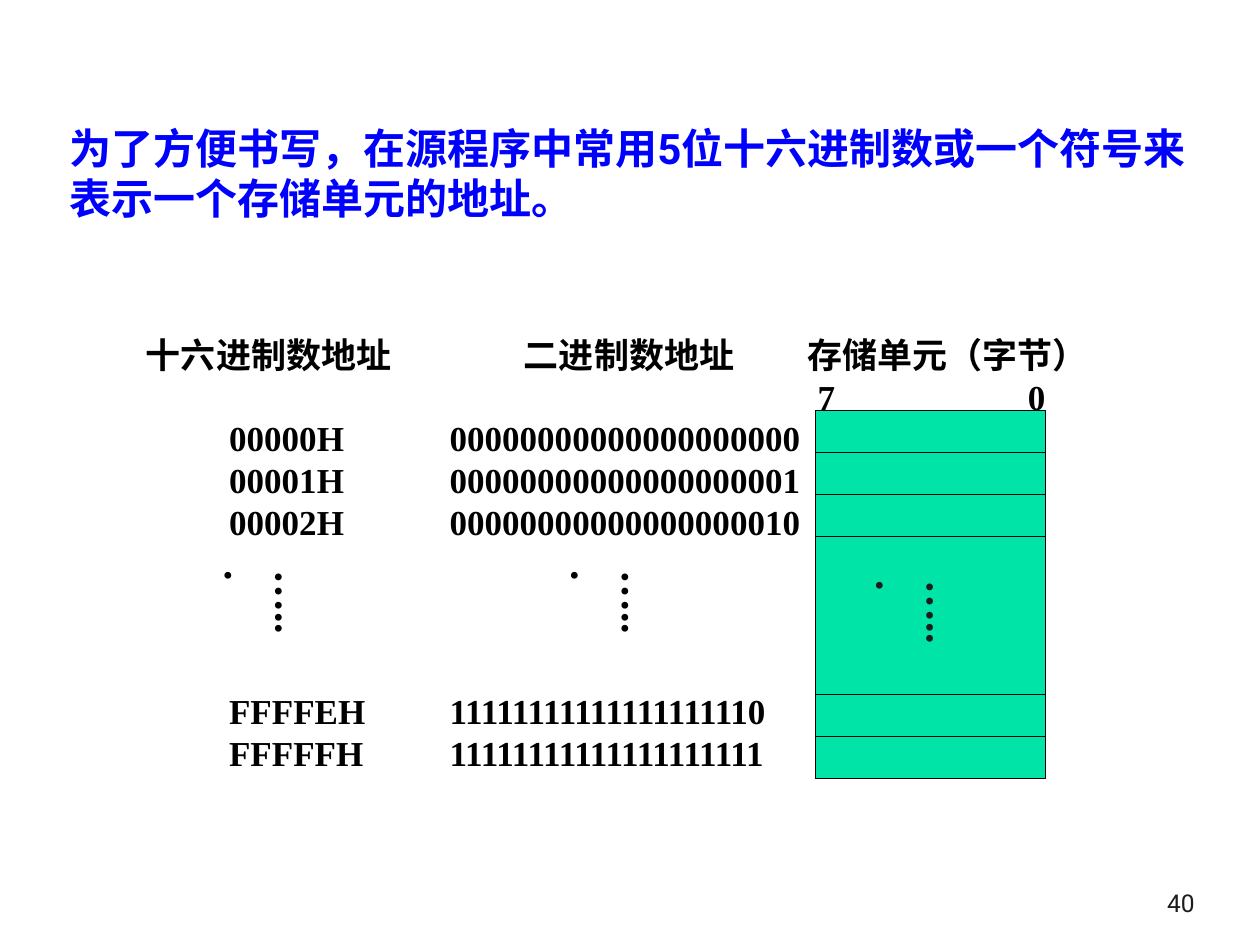
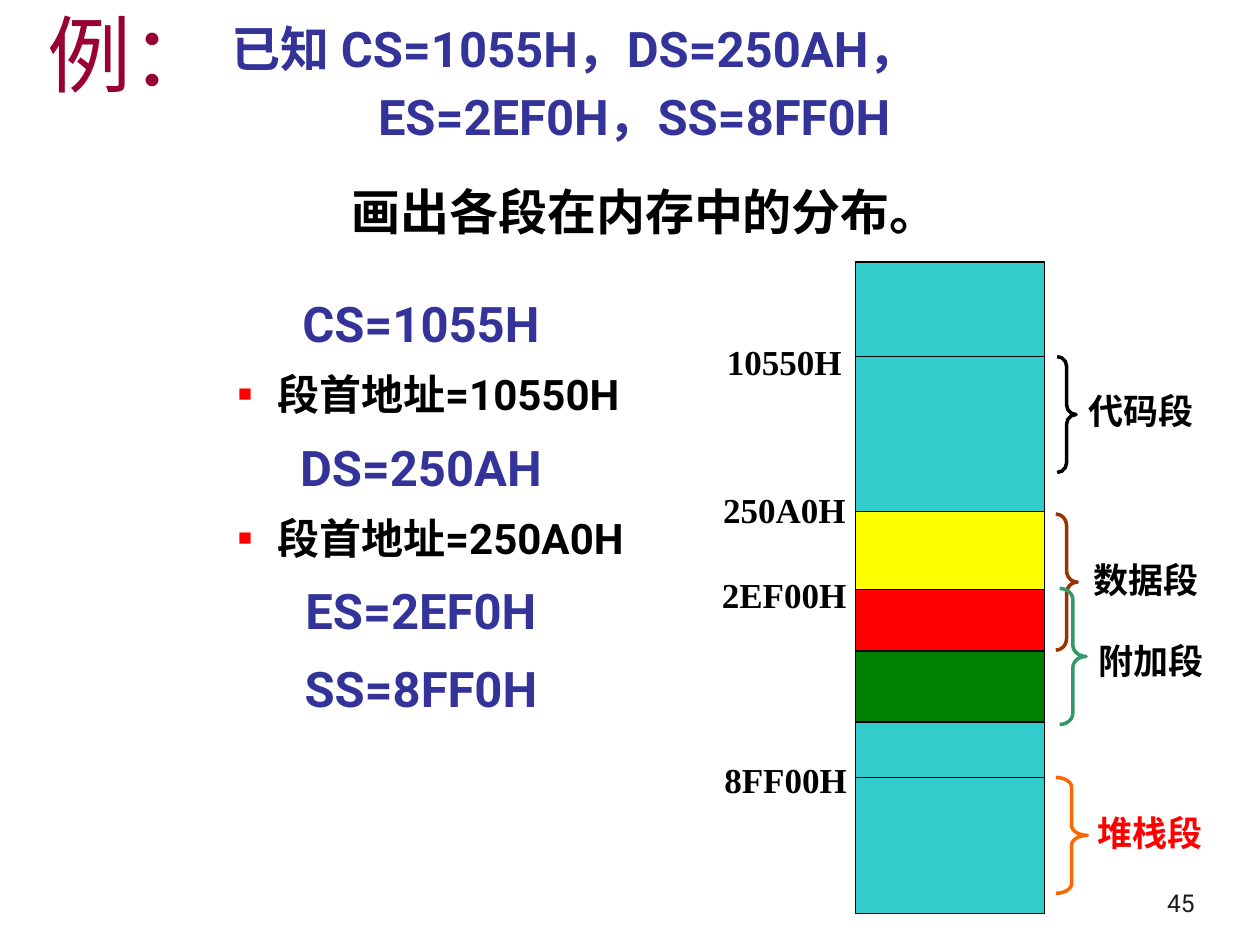
from lxml.etree import SubElement
from pptx import Presentation
from pptx.dml.color import RGBColor
from pptx.enum.shapes import MSO_CONNECTOR, MSO_SHAPE
from pptx.enum.text import MSO_ANCHOR as ANCHOR, MSO_AUTO_SIZE as AUTO_SIZE, PP_ALIGN as ALIGN
from pptx.oxml.ns import qn
from pptx.util import Inches, Pt

BLACK = RGBColor(0x00, 0x00, 0x00)
INK = RGBColor(0x1C, 0x1C, 0x1C)
BLUE = RGBColor(0x00, 0x00, 0xFF)
INDIGO = RGBColor(0x33, 0x33, 0x99)
CRIMSON = RGBColor(0x99, 0x00, 0x33)
MINT = RGBColor(0x00, 0xE4, 0xA8)
TEAL = RGBColor(0x33, 0xCC, 0xCC)
YELLOW = RGBColor(0xFF, 0xFF, 0x00)
RED = RGBColor(0xFF, 0x00, 0x00)
GREEN = RGBColor(0x00, 0x80, 0x00)
BROWN = RGBColor(0x99, 0x33, 0x00)
SEA = RGBColor(0x33, 0x99, 0x66)
ORANGE = RGBColor(0xFF, 0x66, 0x00)
SANS, SERIF = "Roboto", "Times New Roman"

STATEMENT = "为了方便书写，在源程序中常用5位十六进制数或一个符号来表示一个存储单元的地址。"
HEADINGS = [("十六进制数地址", 1.06, 2.25), ("二进制数地址", 4.06, 1.92), ("存储单元（字节）", 6.31, 2.78)]
BIT_NUMBERS = [("7", 6.39), ("0", 8.06)]
ADDRESSES = [
    (0, "00000H", "00000000000000000000"),
    (1, "00001H", "00000000000000000001"),
    (2, "00002H", "00000000000000000010"),
    (6.5, "FFFFEH", "11111111111111111110"),
    (7.5, "FFFFFH", "11111111111111111111"),
]
CELL_EDGES = [1, 2, 3, 6.75, 7.75]
ELLIPSES = [(1.97, 4.43, BLACK), (4.72, 4.43, BLACK), (7.14, 4.51, INK)]
CELLS_LEFT, CELLS_TOP, CELLS_WIDTH, ROW = 6.47, 3.26, 1.83, 1 / 3

EXAMPLE = "例："
GIVEN = "已知 CS=1055H，DS=250AH，\vES=2EF0H，SS=8FF0H"
TASK = "画出各段在内存中的分布。"
SOLUTION = [
    ("CS=1055H", False), ("段首地址=10550H", True),
    ("DS=250AH", False), ("段首地址=250A0H", True),
    ("ES=2EF0H", False), ("SS=8FF0H", False),
]
MEMORY_LEFT, MEMORY_WIDTH = 6.79, 1.5
MEMORY_EDGES = [2.83, 6.17]
BANDS = [(GREEN, 4.68, 1.05), (RED, 4.67, 0.5), (YELLOW, 4.06, 0.62)]
START_ADDRESSES = [("10550H", 5.67, 2.65), ("250A0H", 5.64, 3.83),
                   ("2EF00H", 5.63, 4.5), ("8FF00H", 5.65, 5.97)]
SEGMENTS = [
    ("代码段", BLACK, 8.54, 3.04, BLACK, (8.39, 2.83, 0.15, 0.92), 0.51),
    ("数据段", BLACK, 8.58, 4.38, BROWN, (8.38, 4.08, 0.17, 1.08), 0.54),
    ("附加段", BLACK, 8.62, 5.03, SEA, (8.41, 4.67, 0.21, 1.08), 0.42),
    ("堆栈段", RED, 8.61, 6.39, ORANGE, (8.38, 6.17, 0.25, 0.92), 0.31),
]


def set_font(paragraph, name, size, color, bold=True):
    font = paragraph.font
    font.name, font.size, font.bold = name, Pt(size), bold
    font.color.rgb = color


def add_label(slide, text, left, top, width, height=0.43, size=20, color=BLACK):
    label = slide.shapes.add_textbox(*map(Inches, (left, top, width, height)))
    frame = label.text_frame
    frame.word_wrap = True
    frame.auto_size = AUTO_SIZE.SHAPE_TO_FIT_TEXT
    frame.text = text
    set_font(frame.paragraphs[0], SERIF, size, color)
    return frame


def add_ellipsis(slide, left, top, color):
    frame = add_label(slide, "…...", left, top, 0.6, 0.75, 24, color)
    frame._txBody.bodyPr.set("vert", "eaVert")


def add_page_number(slide, number):
    frame = add_label(slide, number, 7.5, 6.83, 2.08, 0.5)
    frame.auto_size = AUTO_SIZE.NONE
    frame.vertical_anchor = ANCHOR.BOTTOM
    frame.paragraphs[0].alignment = ALIGN.RIGHT
    set_font(frame.paragraphs[0], SANS, 14, INK, False)


def add_outlined(slide, kind, box, line_color, weight, fill=None):
    shape = slide.shapes.add_shape(kind, *map(Inches, box))
    shape.shadow.inherit = False
    if fill is None:
        shape.fill.background()
    else:
        shape.fill.solid()
        shape.fill.fore_color.rgb = fill
    shape.line.color.rgb = line_color
    shape.line.width = Pt(weight)
    return shape


def add_edge(slide, left, width, y, weight):
    edge = slide.shapes.add_connector(
        MSO_CONNECTOR.STRAIGHT, *map(Inches, (left, y, left + width, y)))
    edge.line.color.rgb = BLACK
    edge.line.width = Pt(weight)
    SubElement(edge._element.spPr, qn("a:effectLst"))


def place(placeholder, box, anchor=ANCHOR.TOP):
    placeholder.left, placeholder.top, placeholder.width, placeholder.height = map(Inches, box)
    frame = placeholder.text_frame
    frame.word_wrap = True
    frame.auto_size = AUTO_SIZE.NONE
    frame.vertical_anchor = anchor
    return frame


def set_title(slide, text, box, anchor, size, color, bold):
    frame = place(slide.shapes.title, box, anchor)
    frame.text = text
    frame.paragraphs[0].alignment = ALIGN.LEFT
    set_font(frame.paragraphs[0], SANS, size, color, bold)


def add_body_line(frame, text, size, color, before, align=ALIGN.CENTER,
                  margin=0, indent=0, bullet=False):
    first = not frame.text
    paragraph = frame.paragraphs[0] if first else frame.add_paragraph()
    paragraph.text = text
    paragraph.alignment = align
    paragraph.level = int(bullet)
    properties = paragraph._p.get_or_add_pPr()
    properties.set("marL", str(Inches(margin)))
    properties.set("indent", str(Inches(indent)))
    if bullet:
        SubElement(SubElement(properties, qn("a:buClr")), qn("a:srgbClr")).set("val", str(RED))
        SubElement(properties, qn("a:buSzPct")).set("val", "55000")
        SubElement(properties, qn("a:buChar")).set("char", "■")
    else:
        SubElement(properties, qn("a:buNone"))
    paragraph.line_spacing = 1.15
    paragraph.space_before = Pt(0 if first else size * before)
    paragraph.space_after = Pt(size * 0.05)
    set_font(paragraph, SANS, size, color)


def build_address_slide(deck):
    slide = deck.slides.add_slide(deck.slide_layouts[5])
    set_title(slide, STATEMENT, (0.45, 0.92, 9.13, 0.91), ANCHOR.TOP, 24, BLUE, True)
    add_page_number(slide, "40")
    add_outlined(slide, MSO_SHAPE.RECTANGLE, (CELLS_LEFT, CELLS_TOP, CELLS_WIDTH, 2.92),
                 BLACK, 0.75, MINT)
    for slot in CELL_EDGES:
        add_edge(slide, CELLS_LEFT, CELLS_WIDTH, CELLS_TOP + slot * ROW, 0.75)
    for heading, left, width in HEADINGS:
        add_label(slide, heading, left, 2.6, width)
    for bit, left in BIT_NUMBERS:
        add_label(slide, bit, left, 2.93, 0.34)
    for slot, hexadecimal, binary in ADDRESSES:
        top = CELLS_TOP + slot * ROW
        add_label(slide, hexadecimal, 1.72, top, 1.42)
        add_label(slide, binary, 3.47, top, 3)
    for left, top, color in ELLIPSES:
        add_ellipsis(slide, left, top, color)


def build_segment_slide(deck):
    slide = deck.slides.add_slide(deck.slide_layouts[3])
    set_title(slide, EXAMPLE, (0.28, 0.21, 8.5, 0.66), ANCHOR.BOTTOM, 48, CRIMSON, False)
    add_page_number(slide, "45")
    question = place(slide.placeholders[1], (1.62, 0.03, 7, 1.92))
    add_body_line(question, GIVEN, 28, INDIGO, 0, ALIGN.LEFT, 1.28, -1.16)
    add_body_line(question, TASK, 28, BLACK, 0.5)
    solution = place(slide.placeholders[2], (1.29, 2.21, 4.1, 4.5))
    for text, is_result in SOLUTION:
        if is_result:
            add_body_line(solution, text, 24, BLACK, 0.15, ALIGN.LEFT, 0.81, -0.31, True)
        else:
            add_body_line(solution, text, 28, INDIGO, 0.15)

    add_outlined(slide, MSO_SHAPE.RECTANGLE, (MEMORY_LEFT, 2.08, MEMORY_WIDTH, 5.17),
                 BLACK, 1, TEAL)
    for y in MEMORY_EDGES:
        add_edge(slide, MEMORY_LEFT, MEMORY_WIDTH, y, 1)
    for fill, top, height in BANDS:
        add_outlined(slide, MSO_SHAPE.RECTANGLE, (MEMORY_LEFT, top, MEMORY_WIDTH, height),
                     BLACK, 1, fill)
    for address, left, top in START_ADDRESSES:
        add_label(slide, address, left, top, 1.25)
    for name, color, left, top, brace_color, brace_box, curve in SEGMENTS:
        brace = add_outlined(slide, MSO_SHAPE.RIGHT_BRACE, brace_box, brace_color, 2)
        brace.adjustments[0] = curve
        add_label(slide, name, left, top, 1.14, color=color)


def main():
    """Build the two slides on memory addresses and segments."""
    deck = Presentation()
    deck.slide_width, deck.slide_height = Inches(10), Inches(7.5)
    build_address_slide(deck)
    build_segment_slide(deck)
    deck.save("out.pptx")


if __name__ == "__main__":
    main()
